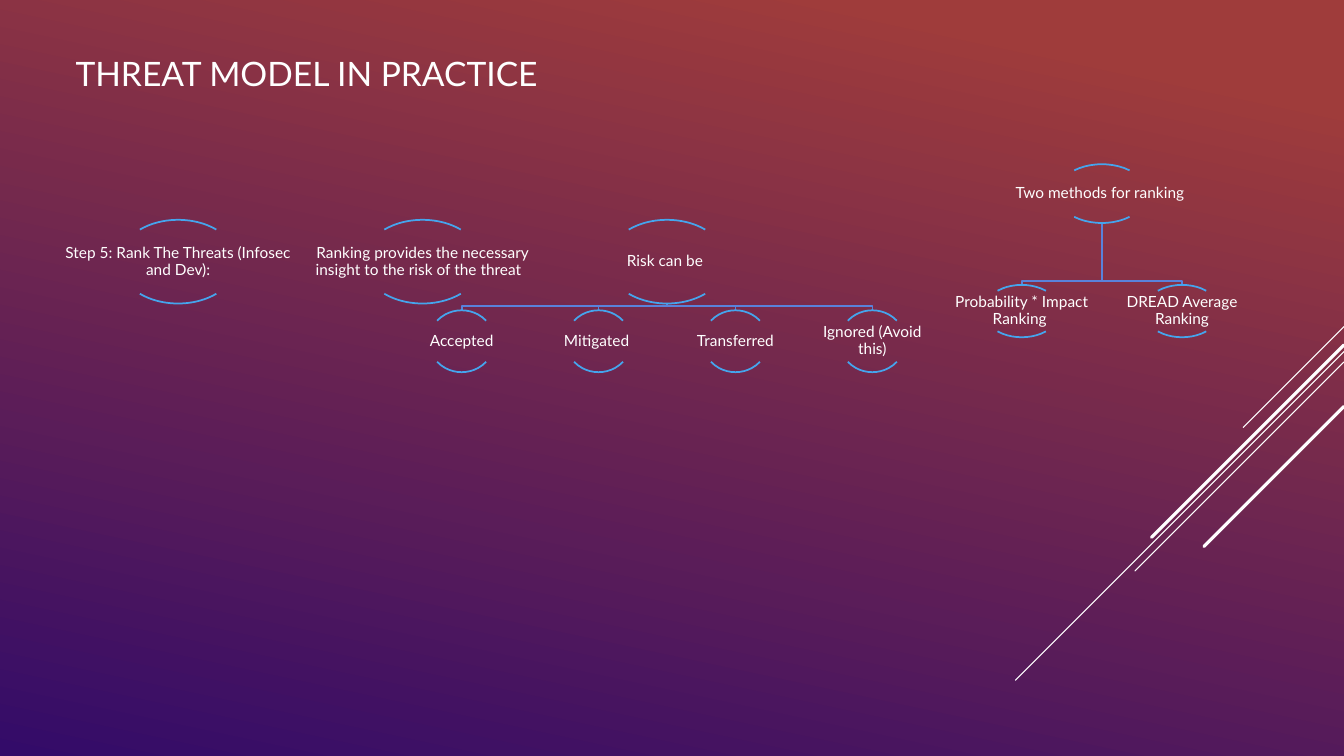
"""Build the threat ranking slide with its arc-framed hierarchy."""
from dataclasses import dataclass

import lxml.etree
import pptx
import pptx.dml.color
import pptx.enum.shapes
import pptx.enum.text
import pptx.oxml.ns
import pptx.presentation
import pptx.shapes.base
import pptx.slide
import pptx.text.text
import pptx.util

Cm = pptx.util.Cm
Pt = pptx.util.Pt

FONT = "Lato"
WHITE = "FFFFFF"
ARC_BLUE = "45A5ED"
BRANCH_BLUE = "5982DB"
SLIDE_WIDTH = 33.87
SLIDE_HEIGHT = 19.05
ARC_ANGLES = ((132, 192), (24, 84))
BEND_ABOVE_CHILD = 0.1


@dataclass(frozen=True)
class Size:
    width: float
    height: float


@dataclass(frozen=True)
class Node:
    text: str
    center: float
    top: float
    size: Size


@dataclass(frozen=True)
class Branch:
    parent: Node
    labels: tuple[str, ...]
    top: float
    step: float
    size: Size

    def children(self) -> list[Node]:
        """Spread the child nodes evenly around the parent's centre."""
        start = self.parent.center - self.step * (len(self.labels) - 1) / 2
        return [
            Node(label, start + index * self.step, self.top, self.size)
            for index, label in enumerate(self.labels)
        ]


@dataclass(frozen=True)
class Stripe:
    top: float
    run: float
    weight: float


STEP_SIZE = Size(3, 2.11)
STEP_LABELS = (
    "Step 5: Rank The Threats (Infosec and Dev):",
    "Ranking provides the necessary insight to the risk of the threat  ",
    "Risk can be ",
)
STEPS = [
    Node(label, 4.49 + index * 6.16, 5.54, STEP_SIZE)
    for index, label in enumerate(STEP_LABELS)
]
METHODS = Node("Two methods for ranking ", 27.77, 4.14, Size(2.28, 1.48))
BRANCHES = (
    Branch(
        STEPS[-1],
        ("Accepted", "Mitigated ", "Transferred", "Ignored (Avoid this)"),
        7.82, 3.45, Size(1.65, 1.56),
    ),
    Branch(
        METHODS,
        ("Probability * Impact Ranking ", "DREAD Average Ranking"),
        7.18, 4.04, Size(1.93, 1.32),
    ),
)
STRIPES = (
    Stripe(8.23, 2.54, 0.75),
    Stripe(8.86, 8.28, 0.75),
    Stripe(9.12, 5.27, 0.75),
    Stripe(8.69, 4.85, 2.25),
    Stripe(10.24, 3.53, 2.25),
)


def color(value: str) -> pptx.dml.color.RGBColor:
    """Turn a hex string into a colour."""
    return pptx.dml.color.RGBColor.from_string(value)


def format_text(paragraph: pptx.text.text._Paragraph, size: float) -> None:
    """Set the font, size and colour of each run."""
    for run in paragraph.runs:
        run.font.name = FONT
        run.font.size = Pt(size)
        run.font.color.rgb = color(WHITE)


def draw_background(slide: pptx.slide.Slide) -> None:
    """Fill the slide with a red to violet gradient."""
    fill = slide.background.fill
    fill.gradient()
    fill.gradient_angle = 258
    for stop, position, value in zip(fill.gradient_stops, (0.1, 1), ("9F3C3B", "330B69")):
        stop.position = position
        stop.color.rgb = color(value)


def draw_stripe(slide: pptx.slide.Slide, stripe: Stripe) -> None:
    """Draw a diagonal line down from the right edge."""
    connector = slide.shapes.add_connector(
        pptx.enum.shapes.MSO_CONNECTOR.STRAIGHT,
        Cm(SLIDE_WIDTH), Cm(stripe.top),
        Cm(SLIDE_WIDTH - stripe.run), Cm(stripe.top + stripe.run),
    )
    connector.line.color.rgb = color(WHITE)
    connector.line.width = Pt(stripe.weight)
    properties = connector._element.spPr
    properties.find(pptx.oxml.ns.qn("a:ln")).set("cap", "rnd")
    lxml.etree.SubElement(properties, pptx.oxml.ns.qn("a:effectLst"))


def draw_title(slide: pptx.slide.Slide, text: str) -> None:
    """Move and format the title placeholder."""
    title = slide.shapes.title
    title.left, title.top, title.width, title.height = Cm(1.65), Cm(1), Cm(26.14), Cm(1.7)
    frame = title.text_frame
    frame.text = text
    frame.auto_size = pptx.enum.text.MSO_AUTO_SIZE.NONE
    frame.vertical_anchor = pptx.enum.text.MSO_ANCHOR.MIDDLE
    paragraph = frame.paragraphs[0]
    paragraph.alignment = pptx.enum.text.PP_ALIGN.LEFT
    format_text(paragraph, 24)


def draw_outline(shape: pptx.shapes.base.BaseShape, value: str) -> None:
    """Leave a shape unfilled with a thin line."""
    shape.shadow.inherit = False
    shape.fill.background()
    shape.line.color.rgb = color(value)
    shape.line.width = Pt(1.25)


def draw_elbow(slide: pptx.slide.Slide, parent: Node, child: Node) -> None:
    """Draw the bent line from a parent down to its child."""
    bend = child.top - BEND_ABOVE_CHILD
    builder = slide.shapes.build_freeform(
        Cm(parent.center), Cm(parent.top + parent.size.height)
    )
    corners = ((parent.center, bend), (child.center, bend), (child.center, child.top))
    builder.add_line_segments([(Cm(x), Cm(y)) for x, y in corners], close=False)
    draw_outline(builder.convert_to_shape(), BRANCH_BLUE)


def draw_node(slide: pptx.slide.Slide, node: Node) -> None:
    """Draw the two arcs and the label of a node."""
    width, height = node.size.width, node.size.height
    for angles in ARC_ANGLES:
        arc = slide.shapes.add_shape(
            pptx.enum.shapes.MSO_SHAPE.ARC,
            Cm(node.center - width / 2), Cm(node.top), Cm(width), Cm(height),
        )
        arc.adjustments[0], arc.adjustments[1] = angles
        draw_outline(arc, ARC_BLUE)
    label = slide.shapes.add_textbox(
        Cm(node.center - width), Cm(node.top + 0.18 * height),
        Cm(2 * width), Cm(0.64 * height),
    )
    frame = label.text_frame
    frame.text = node.text
    frame.word_wrap = True
    frame.vertical_anchor = pptx.enum.text.MSO_ANCHOR.MIDDLE
    frame.margin_left = frame.margin_right = Cm(0.02)
    frame.margin_top = frame.margin_bottom = Cm(0.02)
    paragraph = frame.paragraphs[0]
    paragraph.alignment = pptx.enum.text.PP_ALIGN.CENTER
    paragraph.line_spacing = 0.9
    format_text(paragraph, 11)


def main() -> None:
    """Build and save the presentation."""
    presentation = pptx.Presentation()
    presentation.slide_width = Cm(SLIDE_WIDTH)
    presentation.slide_height = Cm(SLIDE_HEIGHT)
    slide = presentation.slides.add_slide(presentation.slide_layouts[5])
    draw_background(slide)
    for stripe in STRIPES:
        draw_stripe(slide, stripe)
    draw_title(slide, "THREAT MODEL IN PRACTICE")
    for branch in BRANCHES:
        for child in branch.children():
            draw_elbow(slide, branch.parent, child)
            draw_node(slide, child)
    for node in (*STEPS, METHODS):
        draw_node(slide, node)
    presentation.save("out.pptx")


if __name__ == "__main__":
    main()
